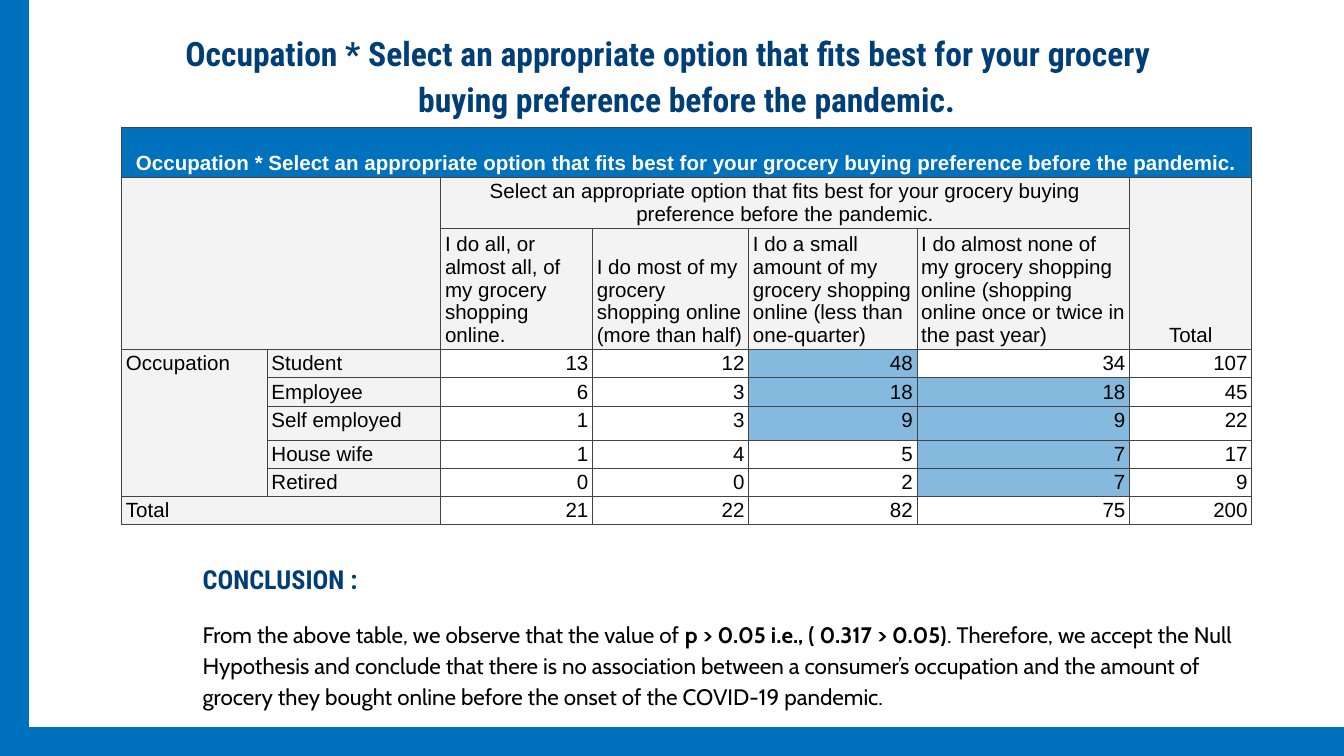
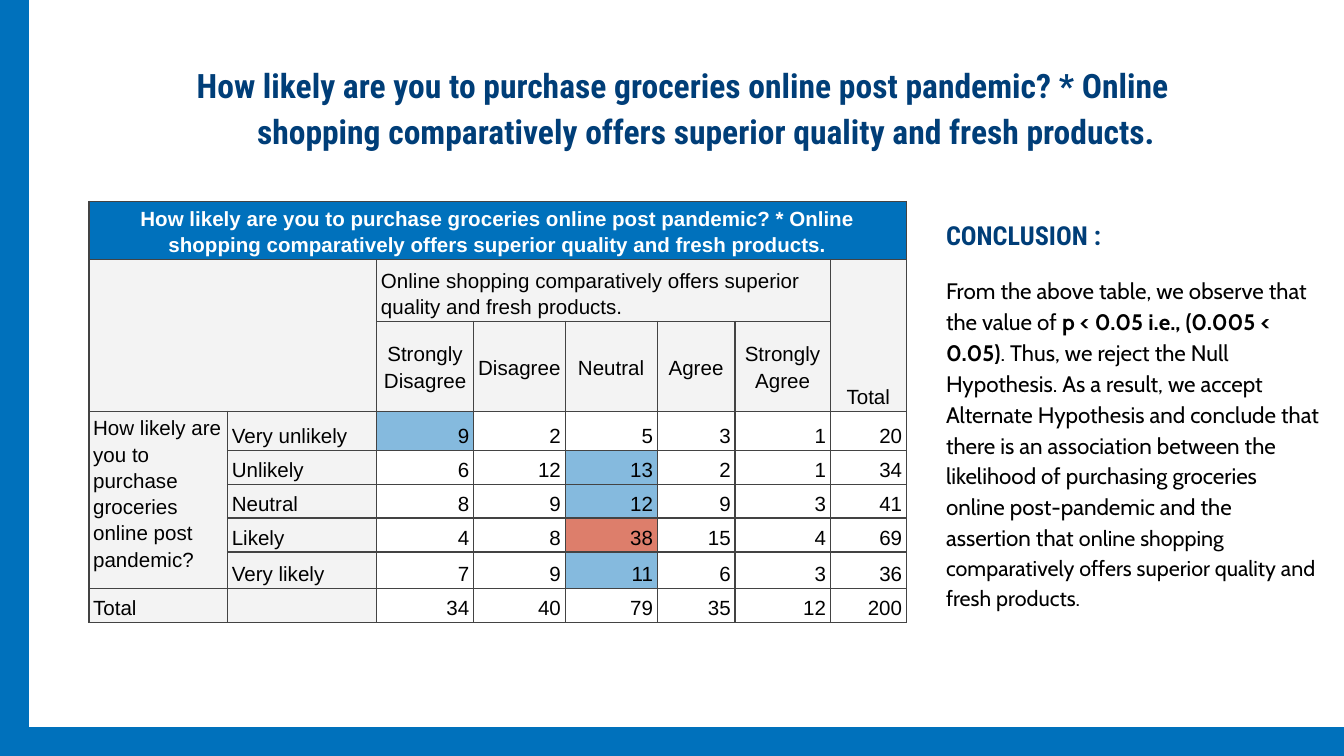
from lxml import etree
from pptx import Presentation
from pptx.dml.color import RGBColor
from pptx.enum.shapes import MSO_SHAPE
from pptx.enum.text import MSO_ANCHOR, MSO_AUTO_SIZE, PP_ALIGN
from pptx.oxml.ns import qn
from pptx.util import Cm, Pt

LEFT, CENTER, RIGHT, JUSTIFY = PP_ALIGN.LEFT, PP_ALIGN.CENTER, PP_ALIGN.RIGHT, PP_ALIGN.JUSTIFY
TOP, MIDDLE, BOTTOM = MSO_ANCHOR.TOP, MSO_ANCHOR.MIDDLE, MSO_ANCHOR.BOTTOM
NO_AUTOFIT = MSO_AUTO_SIZE.NONE
RECTANGLE = MSO_SHAPE.RECTANGLE

SLIDE_WIDTH, SLIDE_HEIGHT, BAND = 25.4, 14.29, 0.53
TITLE_ONLY = 5
LINE_SPACING = 1.15

BLUE, NAVY, BLACK, WHITE = "0071BC", "003E78", "000000", "FFFFFF"
GREY, BORDER, HIGH, PEAK = "F3F3F3", "434343", "85BADE", "DD7E6B"

TITLE_FONT = {"name": "Roboto Condensed", "size": Pt(18), "bold": True}
HEADING_FONT = TITLE_FONT | {"size": Pt(14)}
BODY_FONT = {"name": "Cabin", "size": Pt(12), "bold": False}
CELL_FONT = {"name": "Arial", "size": Pt(11), "bold": False}
BOLD = {"bold": True}
SMALLER = {"size": Pt(11.5)}

FRAME = {"word_wrap": True, "auto_size": NO_AUTOFIT, "vertical_anchor": TOP,
         "margin_left": Cm(0.25), "margin_right": Cm(0.25),
         "margin_top": Cm(0.25), "margin_bottom": Cm(0.25)}
CELL_MARGINS = {"margin_left": Cm(0.08), "margin_right": Cm(0.08),
                "margin_top": Cm(0.05), "margin_bottom": Cm(0.05)}


def rgb(color):
    return RGBColor.from_string(color)


def apply(target, formats):
    for name, value in formats.items():
        setattr(target, name, value)


def add_run(paragraph, text, font, color):
    run = paragraph.add_run()
    run.text = text
    apply(run.font, font)
    run.font.color.rgb = rgb(color)


def add_borders(cell, points):
    properties = cell._tc.get_or_add_tcPr()
    for side in ("a:lnL", "a:lnR", "a:lnT", "a:lnB"):
        line = etree.SubElement(properties, qn(side), w=str(Pt(points)))
        fill = etree.SubElement(line, qn("a:solidFill"))
        etree.SubElement(fill, qn("a:srgbClr"), val=BORDER)


def table_part(row, column, last_column):
    """Name the role of a crosstab cell, which decides how it is set."""
    if row == 0:
        return "banner"
    if row < 3 and column == last_column:
        return "total"
    if row < 3:
        return "question" if row == 1 else "option"
    if column < 2:
        return "group" if (row, column) == (3, 0) else "label"
    return "value"


class Deck:
    def __init__(self):
        self.presentation = Presentation()
        self.presentation.slide_width = Cm(SLIDE_WIDTH)
        self.presentation.slide_height = Cm(SLIDE_HEIGHT)
        self.slide = None

    def new_slide(self):
        layout = self.presentation.slide_layouts[TITLE_ONLY]
        self.slide = self.presentation.slides.add_slide(layout)

    def title(self, left, top, lines, second_indent):
        """Set a two-line title whose second line is moved to the right."""
        title = self.slide.shapes.title
        apply(title, {"left": Cm(left), "top": Cm(top),
                      "width": Cm(22.86), "height": Cm(2.16)})
        frame = title.text_frame
        apply(frame, FRAME)
        for line, indent in zip(lines, (0, second_indent)):
            paragraph = frame.paragraphs[0] if line is lines[0] else frame.add_paragraph()
            apply(paragraph, {"alignment": CENTER, "line_spacing": LINE_SPACING,
                              "space_before": Pt(0)})
            paragraph._p.get_or_add_pPr().set("marL", str(Cm(indent)))
            add_run(paragraph, line, TITLE_FONT, NAVY)

    def conclusion(self, place, runs):
        box = self.slide.shapes.add_textbox(*map(Cm, place))
        frame = box.text_frame
        apply(frame, FRAME)
        heading, body = frame.paragraphs[0], frame.add_paragraph()
        for paragraph in (heading, body):
            apply(paragraph, {"alignment": LEFT, "line_spacing": LINE_SPACING})
        body.space_before = Pt(12)
        add_run(heading, "CONCLUSION :", HEADING_FONT, NAVY)
        for text, change in runs:
            add_run(body, text, BODY_FONT | change, BLACK)

    def bands(self):
        for place in ((0, 0, BAND, SLIDE_HEIGHT),
                      (BAND, SLIDE_HEIGHT - BAND, SLIDE_WIDTH - BAND, BAND)):
            band = self.slide.shapes.add_shape(RECTANGLE, *map(Cm, place))
            band.shadow.inherit = False
            band.fill.solid()
            band.fill.fore_color.rgb = rgb(BLUE)
            band.line.color.rgb = rgb(BLUE)
            band.line.width = Pt(0.75)

    def crosstab(self, left, top, widths, heights, grid, spans, highlights, look):
        """Draw a crosstab; look holds border, spacing and (alignment, anchor) by part."""
        size = (sum(widths), sum(heights))
        table = self.slide.shapes.add_table(
            len(heights), len(widths), *map(Cm, (left, top, *size))).table
        apply(table, {"first_row": False, "horz_banding": False})
        for column, width in zip(table.columns, widths):
            column.width = Cm(width)
        for row, height in zip(table.rows, heights):
            row.height = Cm(height)
        for r, texts in enumerate(grid):
            for c, text in enumerate(texts):
                part = table_part(r, c, len(widths) - 1)
                fill = {"banner": BLUE, "value": WHITE}.get(part, GREY)
                self.cell(table.cell(r, c), text, part,
                          highlights.get((r, c), fill), look)
        for first_row, first_column, last_row, last_column in spans:
            table.cell(first_row, first_column).merge(table.cell(last_row, last_column))

    def cell(self, cell, text, part, fill, look):
        alignment, anchor = look[part]
        apply(cell, CELL_MARGINS | {"vertical_anchor": anchor})
        add_borders(cell, look["border"])
        cell.fill.solid()
        cell.fill.fore_color.rgb = rgb(fill)
        paragraph = cell.text_frame.paragraphs[0]
        apply(paragraph, {"alignment": alignment, "line_spacing": look["spacing"]})
        if text:
            banner = part == "banner"
            add_run(paragraph, text, CELL_FONT | {"bold": banner},
                    WHITE if banner else BLACK)
        else:
            etree.SubElement(paragraph._p, qn("a:endParaRPr"), sz="1100")


HEADS = {"banner": (CENTER, BOTTOM), "total": (CENTER, BOTTOM)}
OCCUPATION_LOOK = HEADS | {
    "border": 0.5, "spacing": 1.0,
    "question": (CENTER, BOTTOM), "option": (LEFT, BOTTOM),
    "group": (JUSTIFY, TOP), "label": (JUSTIFY, TOP), "value": (RIGHT, TOP)}
LIKELIHOOD_LOOK = HEADS | {
    "border": 0.75, "spacing": LINE_SPACING,
    "question": (LEFT, BOTTOM), "option": (CENTER, MIDDLE),
    "group": (LEFT, TOP), "label": (LEFT, BOTTOM), "value": (RIGHT, BOTTOM)}

OCCUPATION_QUESTION = ("Select an appropriate option that fits best for your grocery "
                       "buying preference before the pandemic.")
OCCUPATION_GRID = [
    ["Occupation * " + OCCUPATION_QUESTION] + [""] * 6,
    ["", "", OCCUPATION_QUESTION, "", "", "", "Total"],
    ["", "", "I do all, or almost all, of my grocery shopping online.",
     "I do most of my grocery shopping online (more than half)",
     "I do a small amount of my grocery shopping online (less than one-quarter)",
     "I do almost none of my grocery shopping online "
     "(shopping online once or twice in the past year)", ""],
    ["Occupation", "Student", "13", "12", "48", "34", "107"],
    ["", "Employee", "6", "3", "18", "18", "45"],
    ["", "Self employed", "1", "3", "9", "9", "22"],
    ["", "House wife", "1", "4", "5", "7", "17"],
    ["", "Retired", "0", "0", "2", "7", "9"],
    ["Total", "", "21", "22", "82", "75", "200"],
]

LIKELIHOOD_QUESTION = "How likely are you to purchase groceries online post pandemic?"
QUALITY_QUESTION = "Online shopping comparatively offers superior quality and fresh products."
LIKELIHOOD_GRID = [
    [f"{LIKELIHOOD_QUESTION} * {QUALITY_QUESTION}"] + [""] * 7,
    ["", "", QUALITY_QUESTION, "", "", "", "", "Total"],
    ["", "", "Strongly Disagree", "Disagree", "Neutral", "Agree", "Strongly Agree", ""],
    [LIKELIHOOD_QUESTION, "Very unlikely", "9", "2", "5", "3", "1", "20"],
    ["", "Unlikely", "6", "12", "13", "2", "1", "34"],
    ["", "Neutral", "8", "9", "12", "9", "3", "41"],
    ["", "Likely", "4", "8", "38", "15", "4", "69"],
    ["", "Very likely", "7", "9", "11", "6", "3", "36"],
    ["Total", "", "34", "40", "79", "35", "12", "200"],
]


def head_spans(last):
    """Merges shared by both crosstabs; last is the index of the total column."""
    return [(0, 0, 0, last), (1, 0, 2, 1), (1, 2, 1, last - 1),
            (1, last, 2, last), (3, 0, 7, 0)]


def occupation_slide(deck):
    deck.new_slide()
    deck.title(1.27, 0.25, (
        "Occupation * Select an appropriate option that fits best for your grocery ",
        "buying preference before the pandemic."), 0.56)
    deck.conclusion((3.58, 10.31, 20.09, 3.33), [
        ("From the above table, we observe that the value of ", {}),
        ("p > 0.05 i.e., ( 0.317 > 0.05)", BOLD),
        (". Therefore, we accept the Null Hypothesis and conclude that there is no "
         "association between a consumer’s occupation and the amount of grocery they "
         "bought online before the onset of the COVID-19 pandemic.", {})])
    deck.bands()
    high_cells = [(3, 4), (4, 4), (5, 4), (4, 5), (5, 5), (6, 5), (7, 5)]
    deck.crosstab(2.3, 2.41, (2.75, 3.28, 2.87, 2.95, 3.18, 4.02, 2.31),
                  (0.94, 0.97, 2.29, 0.53, 0.53, 0.64, 0.53, 0.53, 0.53),
                  OCCUPATION_GRID, head_spans(6) + [(8, 0, 8, 1)],
                  dict.fromkeys(high_cells, HIGH), OCCUPATION_LOOK)


def likelihood_slide(deck):
    deck.new_slide()
    deck.title(1.55, 0.86, (
        "How likely are you to purchase groceries online post pandemic? * Online ",
        "shopping comparatively offers superior quality and fresh products."), 0.73)
    deck.conclusion((17.63, 3.81, 7.59, 9.58), [
        ("From the above table, we observe that the value of ", {}),
        ("p < 0.05 i.e., (0.005 < 0.05)", BOLD),
        (". Thus, we reject the Null Hypothesis. As a result, we accept Alternate "
         "Hypothesis and conclude that there is an association between the likelihood "
         "of purchasing groceries online post-pandemic and the assertion that ", {}),
        ("online shopping comparatively offers superior quality and fresh products.",
         SMALLER)])
    deck.bands()
    high_cells = [(3, 2), (4, 4), (5, 4), (7, 4)]
    deck.crosstab(1.68, 3.81, (2.62, 2.82, 1.83, 1.73, 1.74, 1.47, 1.8, 1.44),
                  (0.91, 1.17, 1.7, 0.74, 0.64, 0.64, 0.64, 0.69, 0.64),
                  LIKELIHOOD_GRID, head_spans(7),
                  dict.fromkeys(high_cells, HIGH) | {(6, 4): PEAK}, LIKELIHOOD_LOOK)


def main():
    deck = Deck()
    occupation_slide(deck)
    likelihood_slide(deck)
    deck.presentation.save("out.pptx")


if __name__ == "__main__":
    main()
